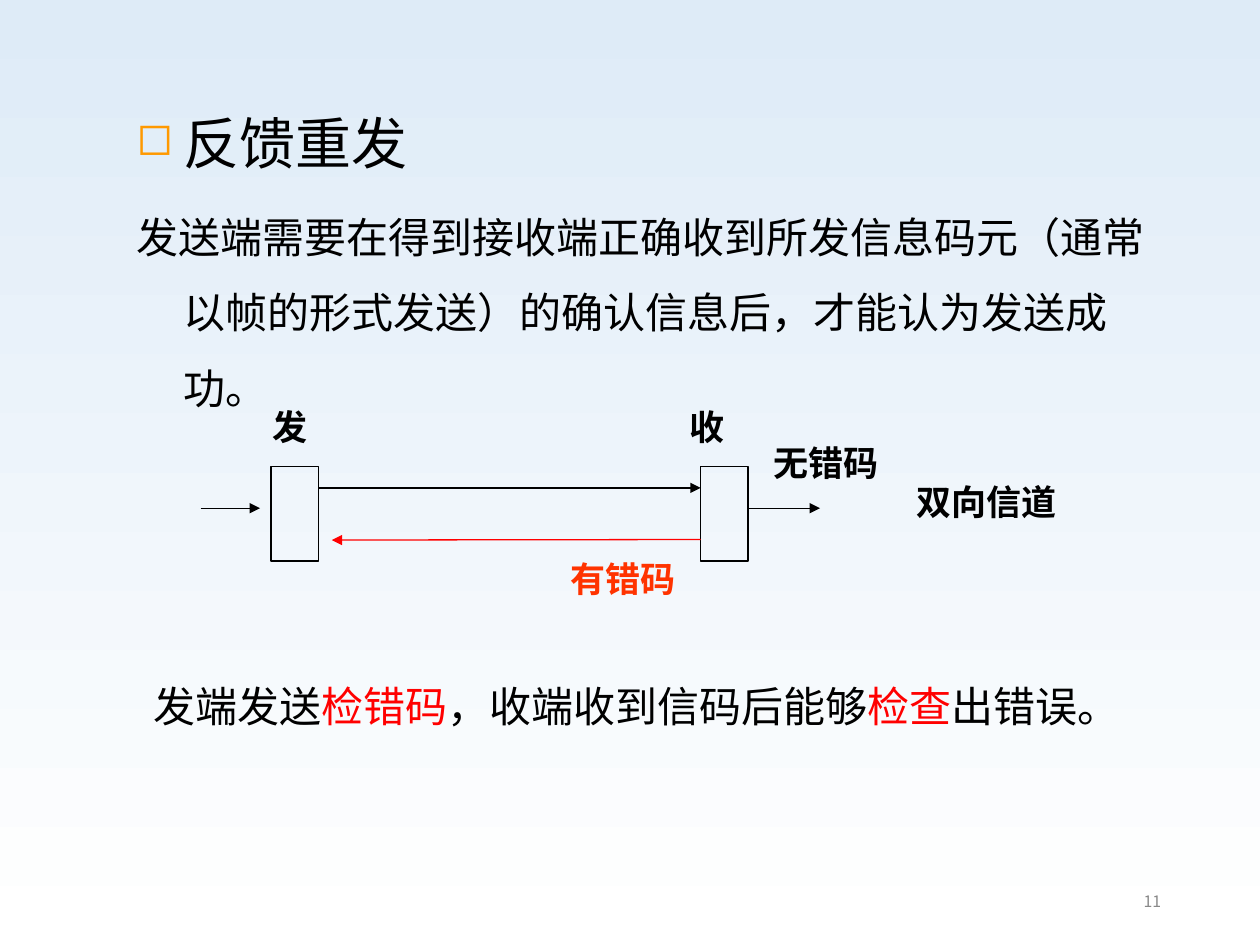
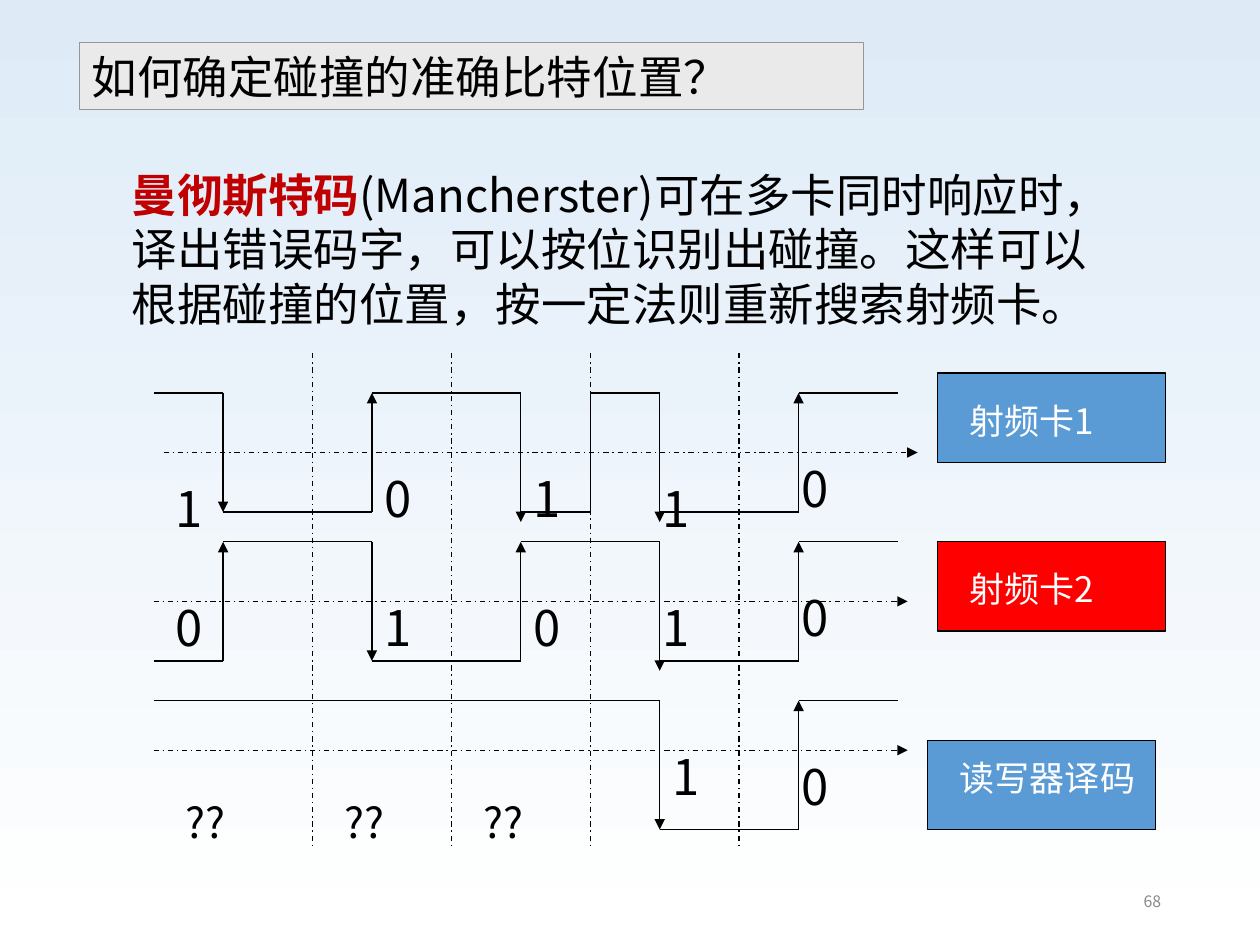
from lxml import etree
from pptx import Presentation
from pptx.dml.color import RGBColor
from pptx.enum.dml import MSO_LINE
from pptx.enum.shapes import MSO_CONNECTOR, MSO_SHAPE
from pptx.enum.text import MSO_ANCHOR, PP_ALIGN
from pptx.oxml.ns import qn
from pptx.util import Pt

STRAIGHT = MSO_CONNECTOR.STRAIGHT
RECT = MSO_SHAPE.RECTANGLE
DASH = MSO_LINE.DASH_DOT
LEFT, RIGHT = PP_ALIGN.LEFT, PP_ALIGN.RIGHT
TOP, MIDDLE = MSO_ANCHOR.TOP, MSO_ANCHOR.MIDDLE

HUES = {
    "sky": "DEEBF7", "white": "FFFFFF", "black": "000000", "red": "FF0000",
    "brick": "C00000", "flame": "FF3300", "blue": "5B9BD5", "amber": "FF9900",
    "pale": "EAEAEA", "edge": "969696", "gray": "898989",
}
FONT = "Noto Sans CJK SC"
FOOT = "Noto Sans CJK KR"
UNIT = 5.67


def rgb(hue):
    return RGBColor.from_string(HUES[hue])


def style(para, size, hue="black", bold=False, name=FONT, align=LEFT):
    para.alignment = align
    font = para.font
    font.size, font.bold, font.name = Pt(size), bold, name
    font.color.rgb = rgb(hue)
    props = para._p.pPr
    props.set("hangingPunct", "0")
    etree.SubElement(props.find(qn("a:defRPr")), qn("a:ea"), typeface=name)


def frame(shape, anchor=TOP):
    body = shape.text_frame
    body.word_wrap = True
    body.vertical_anchor = anchor
    return body


def label(slide, box, text, size, hue="black", bold=False, name=FONT,
          align=LEFT, anchor=TOP):
    shape = slide.shapes.add_textbox(*map(Pt, box))
    para = frame(shape, anchor).paragraphs[0]
    para.text = text
    style(para, size, hue, bold, name, align)
    return para


def mixed(slide, box, size, parts):
    para = label(slide, box, "", size)
    for text, hue, bold in parts:
        run = para.add_run()
        run.text = text
        if hue != "black":
            run.font.color.rgb = rgb(hue)
        if bold:
            run.font.bold = True
    return para


def block(slide, box, fill=None, edge="black"):
    shape = slide.shapes.add_shape(RECT, *map(Pt, box))
    shape.shadow.inherit = False
    if fill:
        shape.fill.solid()
        shape.fill.fore_color.rgb = rgb(fill)
    else:
        shape.fill.background()
    shape.line.color.rgb = rgb(edge)
    shape.line.width = Pt(0.75)
    return shape


def wire(slide, start, end, arrow=False, hue="black", dash=None):
    link = slide.shapes.add_connector(STRAIGHT, *map(Pt, (*start, *end)))
    link.line.color.rgb = rgb(hue)
    link.line.width = Pt(0.75)
    if dash:
        link.line.dash_style = dash
    props = link._element.spPr
    if arrow:
        etree.SubElement(props.find(qn("a:ln")), qn("a:tailEnd"), type="triangle")
    etree.SubElement(props, qn("a:effectLst"))


def base(deck, number):
    slide = deck.slides.add_slide(deck.slide_layouts[6])
    fill = slide.background.fill
    fill.gradient()
    fill.gradient_angle = 270
    for stop, hue, spot in zip(fill.gradient_stops, ("sky", "white"), (0, 1)):
        stop.color.rgb = rgb(hue)
        stop.position = spot
    label(slide, (508.5, 500.5, 162, 29), number, 9, "gray", name=FOOT,
          align=RIGHT, anchor=MIDDLE)
    return slide


def intro(slide, box):
    shape = slide.shapes.add_textbox(*map(Pt, box))
    body = frame(shape)
    head, text = body.paragraphs[0], body.add_paragraph()
    head.text = "反馈重发"
    text.text = ("发送端需要在得到接收端正确收到所发信息码元（通常以帧的形式发送）"
                 "的确认信息后，才能认为发送成功。")
    for para in (head, text):
        para.line_spacing = 1.5
        props = para._p.get_or_add_pPr()
        props.set("marL", str(Pt(26.8)))
        props.set("indent", str(Pt(-26.8)))
    text.space_before = Pt(6)
    props = head._p.pPr
    tint = etree.SubElement(props, qn("a:buClr"))
    etree.SubElement(tint, qn("a:srgbClr"), val=HUES["amber"])
    etree.SubElement(props, qn("a:buSzPct"), val="80000")
    etree.SubElement(props, qn("a:buChar"), char="◻")
    style(head, 32)
    style(text, 24)


def channel(slide, left, top):
    def at(x, y):
        return left + x, top + y

    send, take, wide = 40.3, 285.8, 27
    for x in (send, take):
        block(slide, (*at(x, 38.2), wide, 54))
    for x, end, y, fall, hue in (
        (send + wide, take, 50.4, 0, "black"),
        (take, 75, 79.9, 0.3, "red"),
        (0, 34, 62, 0, "black"),
        (take + wide, 354, 62, 0, "black"),
    ):
        wire(slide, at(x, y), at(end, y + fall), True, hue)
    for text, x, y, width, hue in (
        ("发", 34, 0, 36, "black"),
        ("收", 272.6, 0, 36, "black"),
        ("有错码", 204.5, 86.4, 82, "flame"),
        ("无错码", 320.4, 20.2, 82, "black"),
        ("双向信道", 402.2, 42.5, 96, "black"),
    ):
        label(slide, (*at(x, y), width, 32), text, 20, hue, True)


def resend(deck):
    slide = base(deck, "11")
    intro(slide, (70.8, 39.2, 599.7, 107))
    channel(slide, 114.6, 228.4)
    para = mixed(slide, (44.6, 385.2, 626, 36), 24, (
        ("发端发送", "black", False),
        ("检错码", "red", False),
        ("，收端收到信码后能够", "black", False),
        ("检查", "red", False),
        ("出错误。", "black", False),
    ))
    para._p.pPr.set("marL", str(Pt(36)))


def signal(slide, at, high, low, up, edges):
    last = 0
    for x, over, arrow in edges:
        old, new = (high, low) if up else (low, high)
        wire(slide, at(last, old), at(x, old))
        wire(slide, at(x, old), at(x, new + over), arrow)
        last, up = x, not up
    level = high if up else low
    wire(slide, at(last, level), at(75, level))


def chart(slide, left, top):
    def at(x, y):
        return left + x * UNIT, top + y * UNIT

    for x, y in ((1, 10), (0, 25), (0, 40)):
        wire(slide, at(x, y), at(x + 76, y), True, dash=DASH)
    for x in (16, 30, 44, 59):
        wire(slide, at(x, 0), at(x, 50), dash=DASH)

    for high, low, up, edges in (
        (4, 16, True, ((7, 0, True), (22, 0, True), (37, 1, True),
                       (44, 0, False), (51, 1, True), (65, 0, True))),
        (19, 31, False, ((7, 0, True), (22, 0, True), (37, 0, True),
                         (51, 1, True), (65, 0, True))),
        (35, 48, True, ((51, 0, True), (65, 0, True))),
    ):
        signal(slide, at, high, low, up, edges)

    for bit, x, y in (
        ("1", 1, 12), ("0", 22, 11), ("1", 37, 11), ("1", 50, 12), ("0", 64, 10),
        ("0", 1, 24), ("1", 22, 24), ("0", 37, 24), ("1", 50, 24), ("0", 64, 23),
        ("1", 51, 39), ("0", 64, 40),
    ):
        label(slide, (*at(x, y), 4 * UNIT, 41), bit, 28)
    for x in (2, 18, 32):
        label(slide, (*at(x, 44), 11 * UNIT, 36), "??", 24)

    for text, x, y, drop, hue in (
        ("射频卡1", 79, 2, 2, "blue"),
        ("射频卡2", 79, 19, 2, "red"),
        ("读写器译码", 78, 39, 1, "blue"),
    ):
        block(slide, (*at(x, y), 23 * UNIT, 9 * UNIT), hue)
        label(slide, (*at(x + 2, y + drop), 22 * UNIT, 32), text, 20, "white")


def banner(slide, box, text):
    para = frame(block(slide, box, "pale", "edge")).paragraphs[0]
    para.text = text
    style(para, 26)


def clash(deck):
    slide = base(deck, "68")
    chart(slide, 87.8, 201.9)
    mixed(slide, (68.1, 91.8, 578, 132), 26, (
        ("曼彻斯特码", "brick", True),
        ("(Mancherster)可在多卡同时响应时，译出错误码字，可以按位识别出碰撞。"
         "这样可以根据碰撞的位置，按一定法则重新搜索射频卡。", "black", False),
    ))
    banner(slide, (45.4, 24.2, 448, 38.6), "如何确定碰撞的准确比特位置？")


def main():
    deck = Presentation()
    deck.slide_width, deck.slide_height = Pt(720), Pt(540)
    resend(deck)
    clash(deck)
    deck.save("out.pptx")


if __name__ == "__main__":
    main()
